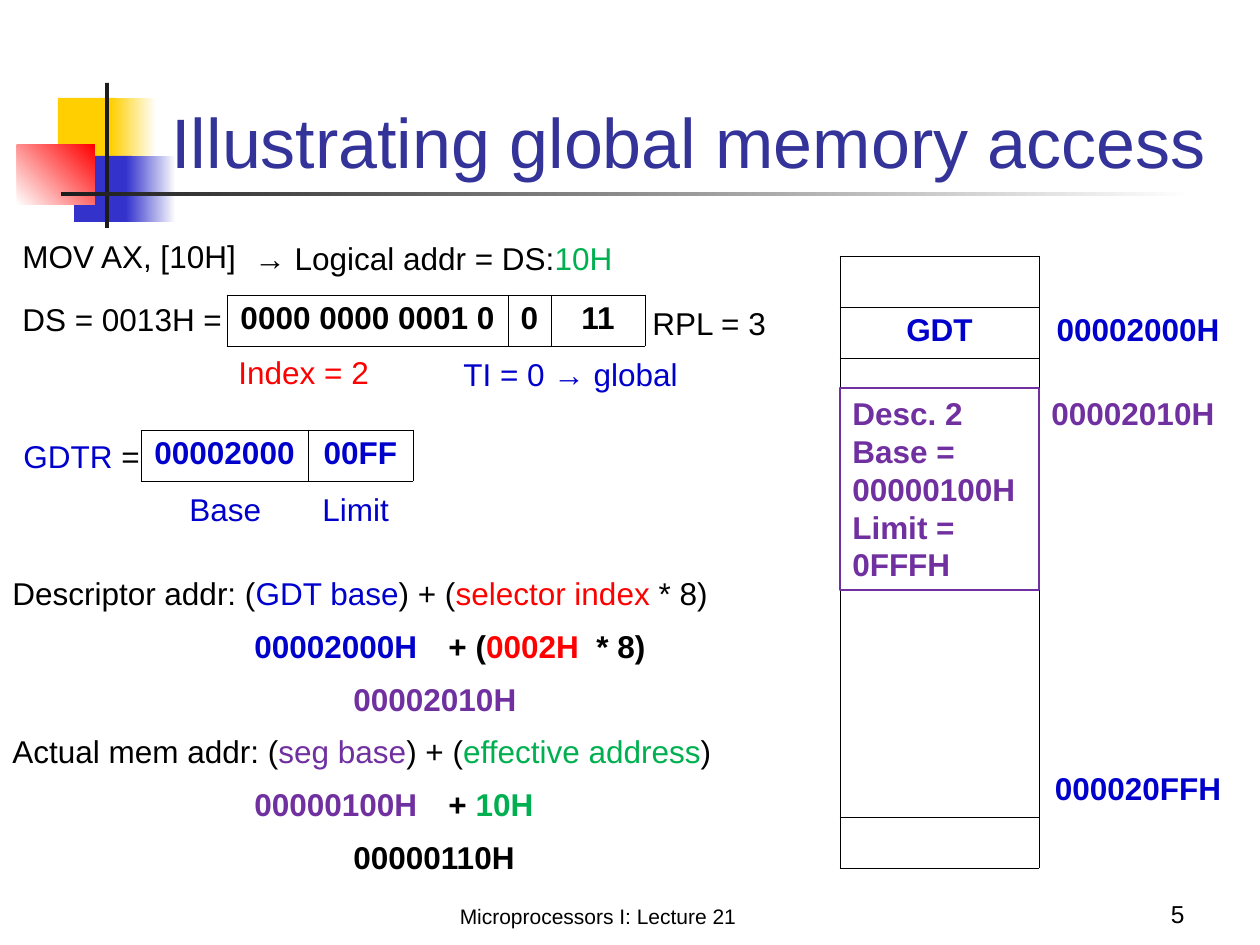
import dataclasses

import pptx
import pptx.dml.color
import pptx.enum.shapes
import pptx.enum.text
import pptx.util
from lxml import etree

ANCHOR = pptx.enum.text.MSO_ANCHOR
ALIGN = pptx.enum.text.PP_ALIGN
AUTO_SIZE = pptx.enum.text.MSO_AUTO_SIZE
RECTANGLE = pptx.enum.shapes.MSO_SHAPE.RECTANGLE
DRAWING = "{http://schemas.openxmlformats.org/drawingml/2006/main}"
NO_GRID_STYLE = "{2D5ABB26-0587-4C30-8999-92F81FD0307C}"


@dataclasses.dataclass(frozen=True)
class Theme:
    font: str = "Arial"
    title_size: int = 40
    text_size: int = 18
    number_size: int = 14
    footer_size: int = 12
    border_width: float = 0.45
    frame_width: float = 0.75
    black: str = "000000"
    white: str = "FFFFFF"
    title: str = "333399"
    blue: str = "0000CC"
    red: str = "FF0000"
    green: str = "00B050"
    purple: str = "7030A0"
    yellow_block: str = "FFCF01"
    blue_block: str = "3333CC"
    rule: str = "1C1C1C"


def px(value):
    """Convert pixels, 126 to the inch, to EMU."""
    return pptx.util.Emu(round(value * 914400 / 126))


def rgb(value):
    return pptx.dml.color.RGBColor.from_string(value)


def apply_format(target, values):
    for name, value in values.items():
        setattr(target, name, value)


class SlideBuilder:
    def __init__(self, slide, theme):
        self.slide = slide
        self.theme = theme

    def fill_text(self, frame, paragraphs, size=None, bold=False, align=ALIGN.LEFT, tabs=()):
        """Fill a frame with paragraphs, each a list of (text, colour) runs."""
        for index, runs in enumerate(paragraphs):
            paragraph = frame.add_paragraph() if index else frame.paragraphs[0]
            paragraph.alignment = align
            if tabs:
                properties = paragraph._p.get_or_add_pPr()
                tab_list = etree.SubElement(properties, DRAWING + "tabLst")
                for position in tabs:
                    etree.SubElement(tab_list, DRAWING + "tab", pos=str(px(position)), algn="l")
            for text, color in runs:
                run = paragraph.add_run()
                run.text = text
                apply_format(run.font, {
                    "name": self.theme.font,
                    "size": pptx.util.Pt(size or self.theme.text_size),
                    "bold": bold,
                })
                run.font.color.rgb = rgb(color)

    def title(self, box, text):
        shape = self.slide.shapes.title
        apply_format(shape, dict(zip(("left", "top", "width", "height"), map(px, box))))
        apply_format(shape.text_frame, {
            "vertical_anchor": ANCHOR.BOTTOM, "word_wrap": True, "auto_size": AUTO_SIZE.NONE,
        })
        self.fill_text(shape.text_frame, [[(text, self.theme.title)]], self.theme.title_size)

    def block(self, box, color, end_color=None, angle=0):
        """Add a borderless rectangle, plain or fading to end_color."""
        shape = self.slide.shapes.add_shape(RECTANGLE, *map(px, box))
        shape.shadow.inherit = False
        shape.line.fill.background()
        if end_color is None:
            shape.fill.solid()
            shape.fill.fore_color.rgb = rgb(color)
            return
        shape.fill.gradient()
        shape.fill.gradient_angle = angle
        for stop, stop_color in zip(shape.fill.gradient_stops, (color, end_color)):
            stop.color.rgb = rgb(stop_color)

    def text(self, box, runs, anchor=ANCHOR.TOP, **style):
        frame = self.slide.shapes.add_textbox(*map(px, box)).text_frame
        apply_format(frame, {"word_wrap": True, "vertical_anchor": anchor})
        self.fill_text(frame, [runs], **style)

    def framed_text(self, box, lines, color):
        shape = self.slide.shapes.add_shape(RECTANGLE, *map(px, box))
        shape.shadow.inherit = False
        shape.fill.background()
        shape.line.color.rgb = rgb(color)
        shape.line.width = pptx.util.Pt(self.theme.frame_width)
        apply_format(shape.text_frame, {"word_wrap": True, "vertical_anchor": ANCHOR.TOP})
        self.fill_text(shape.text_frame, [[(line, color)] for line in lines], bold=True)

    def table(self, left, top, widths, row_height, rows, color, borders=None):
        """Add a bold table; borders(row, column) names the sides to draw, from LRTB."""
        frame = self.slide.shapes.add_table(
            len(rows), len(widths), px(left), px(top), px(sum(widths)), px(row_height * len(rows)))
        table = frame.table
        apply_format(table, {"first_row": False, "horz_banding": False})
        table._tbl.tblPr.find(DRAWING + "tableStyleId").text = NO_GRID_STYLE
        for column, width in zip(table.columns, widths):
            column.width = px(width)
        for row_index, texts in enumerate(rows):
            table.rows[row_index].height = px(row_height)
            for column_index, text in enumerate(texts):
                cell = table.cell(row_index, column_index)
                apply_format(cell, {"margin_left": px(6), "margin_right": px(6)})
                self.border(cell, borders(row_index, column_index) if borders else "LRTB")
                cell.fill.background()
                if text:
                    self.fill_text(cell.text_frame, [[(text, color)]], bold=True, align=ALIGN.CENTER)

    def border(self, cell, sides):
        for side in sides:
            line = etree.SubElement(
                cell._tc.get_or_add_tcPr(), f"{DRAWING}ln{side}",
                w=str(pptx.util.Pt(self.theme.border_width)))
            fill = etree.SubElement(line, DRAWING + "solidFill")
            etree.SubElement(fill, DRAWING + "srgbClr", val=self.theme.black)


def memory_borders(row, column):
    """Outline the memory column, with its first and last cells closed off."""
    if column == 1:
        return "L"
    return {0: "LRTB", 1: "LRT", 10: "LRB", 11: "LRTB"}.get(row, "LR")


def add_decoration(builder):
    theme = builder.theme
    builder.block((58, 98, 58, 66), theme.yellow_block)
    builder.block((111, 98, 45, 66), theme.yellow_block, theme.white)
    builder.block((74, 156, 58, 66), theme.blue_block)
    builder.block((126, 156, 50, 66), theme.blue_block, theme.white)
    builder.block((17, 145, 78, 60), theme.white, theme.red, angle=45)
    builder.block((105, 83, 4, 145), theme.rule)
    builder.block((61, 192, 1134, 4), theme.rule, theme.white)


def add_registers(builder):
    theme = builder.theme
    labels = [
        ((10, 231, 252, 50), [("MOV AX, [10H]", theme.black)]),
        ((242, 233, 388, 50), [("→ Logical addr = DS:", theme.black), ("10H", theme.green)]),
        ((10, 294, 231, 50), [("DS = 0013H =", theme.black)]),
        ((640, 298, 168, 50), [("RPL = 3", theme.black)]),
        ((451, 349, 284, 50), [("TI = 0 → global", theme.blue)]),
        ((226, 347, 168, 50), [("Index = 2", theme.red)]),
        ((11, 431, 152, 50), [("GDTR ", theme.blue), ("=", theme.black)]),
    ]
    for box, runs in labels:
        builder.text(box, runs)
    builder.text((142, 484, 273, 50), [("\tBase\tLimit", theme.blue)], tabs=(35, 168))
    builder.table(227, 295, (281, 43, 94), 51, [("0000 0000 0001 0", "0", "11")], theme.black)
    builder.table(141, 430, (167, 105), 51, [("00002000", "00FF")], theme.blue)


def add_memory_map(builder):
    theme = builder.theme
    rows = [("", "")] * 12
    rows[1] = ("GDT", "00002000H")
    rows[10] = ("", "000020FFH")
    builder.table(840, 256, (199, 198), 51, rows, theme.blue, memory_borders)
    builder.text((1039, 388, 194, 50), [("00002010H", theme.purple)], bold=True)
    builder.framed_text(
        (840, 388, 199, 202), ["Desc. 2", "Base = 00000100H", "Limit =", "0FFFH"], theme.purple)


def add_calculations(builder):
    """Add each sum as a formula, its two operands and its result."""
    theme = builder.theme
    calculations = [
        ([("Descriptor addr: (", theme.black), ("GDT base", theme.blue), (") + (", theme.black),
          ("selector index ", theme.red), ("* 8)", theme.black)],
         [("00002000H", theme.blue)],
         [("+ (", theme.black), ("0002H", theme.red), ("\t* 8)", theme.black)],
         [("00002010H", theme.purple)]),
        ([("Actual mem addr: (", theme.black), ("seg base", theme.purple), (") + (", theme.black),
          ("effective address", theme.green), (")", theme.black)],
         [("00000100H", theme.purple)],
         [("+ ", theme.black), ("10H", theme.green)],
         [("00000110H", theme.black)]),
    ]
    for index, (formula, base, offset, result) in enumerate(calculations):
        top = 568 + 158 * index
        builder.text((0, top, 756, 50), formula)
        builder.text((242, top + 53, 194, 50), base, bold=True)
        builder.text((436, top + 53, 257, 50), offset, bold=True, tabs=(148,))
        builder.text((341, top + 106, 194, 50), result, bold=True)


def main():
    presentation = pptx.Presentation()
    apply_format(presentation, {"slide_width": px(1260), "slide_height": px(945)})
    theme = Theme()
    builder = SlideBuilder(presentation.slides.add_slide(presentation.slide_layouts[5]), theme)
    add_decoration(builder)
    builder.title((159, 32, 1074, 157), "Illustrating global memory access")
    builder.text((262, 872, 672, 63), [("Microprocessors I: Lecture 21", theme.black)],
                 ANCHOR.BOTTOM, size=theme.footer_size, align=ALIGN.CENTER)
    builder.text((935, 872, 262, 63), [("5", theme.black)],
                 ANCHOR.BOTTOM, size=theme.number_size, align=ALIGN.RIGHT)
    add_registers(builder)
    add_memory_map(builder)
    add_calculations(builder)
    presentation.save("out.pptx")


if __name__ == "__main__":
    main()
